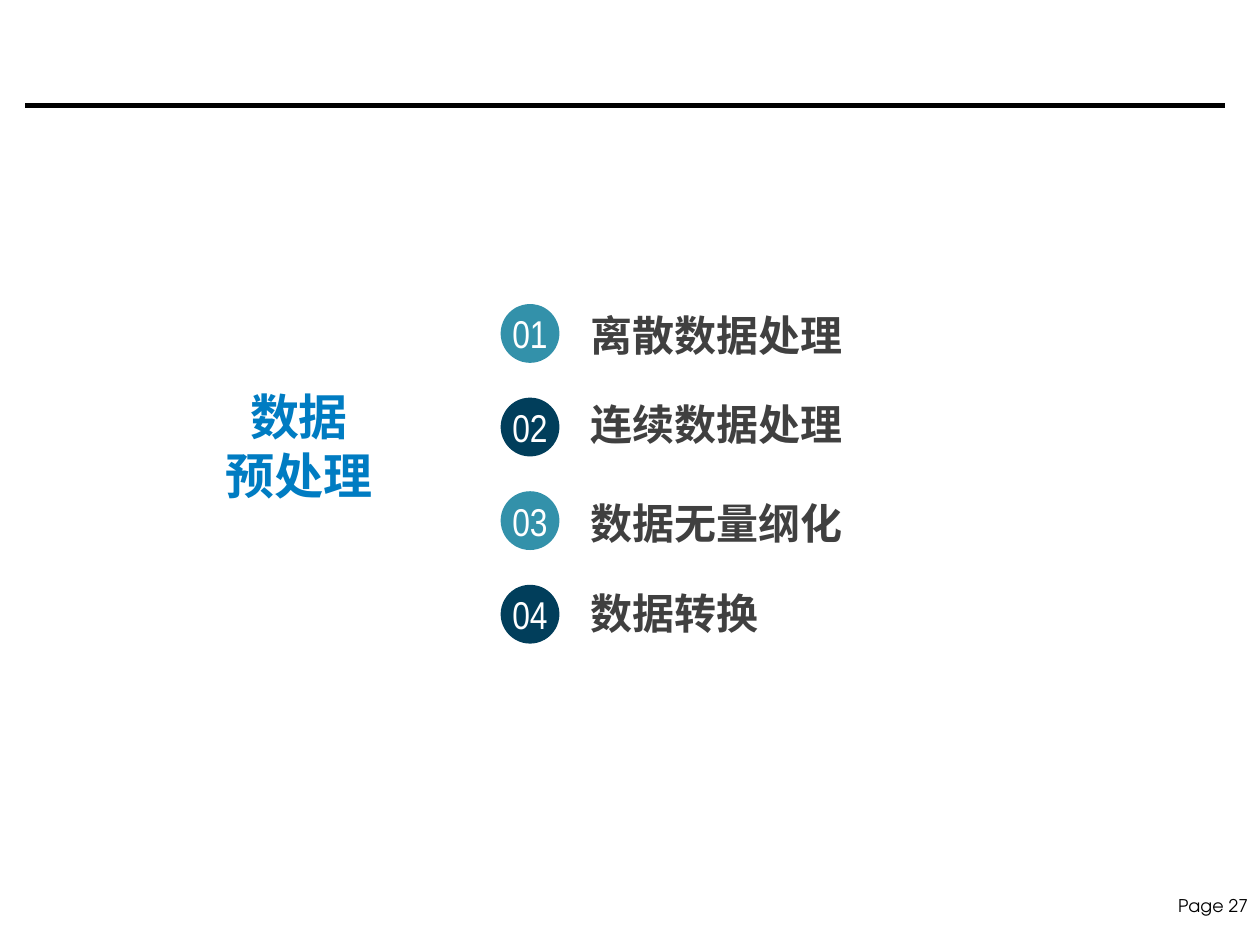
"""Build the section slide that lists the four data preprocessing topics."""
from lxml.etree import SubElement
from pptx import Presentation
from pptx.dml.color import RGBColor
from pptx.enum.shapes import MSO_CONNECTOR, MSO_SHAPE
from pptx.enum.text import MSO_ANCHOR, MSO_AUTO_SIZE, PP_ALIGN
from pptx.oxml.ns import qn
from pptx.util import Inches, Pt

COLUMNS = 750
ROWS = COLUMNS * 3 / 4
CELL = Inches(0.01)
CJK, NUMERALS, FOOTER = "Noto Sans CJK SC", "Arial Narrow", "TeX Gyre Adventor"
TOPICS = [("离散数据处理", 199), ("连续数据处理", 252),
          ("数据无量纲化", 311), ("数据转换", 365)]
BADGE_FILLS = ["3391AA", "013E5B"]
BADGE_TOP, BADGE_PITCH, BADGE_SIZE = 181, 55.7, 35


def grid(*cells):
    """Turn grid cells into slide lengths."""
    return [round(cell * CELL) for cell in cells]


def color(value):
    """Turn a hex string into a colour."""
    return RGBColor.from_string(value)


def write(holder, text, size, face, ink, bold=False, align=PP_ALIGN.LEFT,
          anchor=MSO_ANCHOR.TOP, insets=(0, 0, 0, 0), leading=None):
    """Put formatted text into a shape, one paragraph per line."""
    frame = holder.text_frame
    frame.text = text
    frame.word_wrap = True
    frame.auto_size = MSO_AUTO_SIZE.NONE
    frame.vertical_anchor = anchor
    (frame.margin_left, frame.margin_top,
     frame.margin_right, frame.margin_bottom) = grid(*insets)
    for paragraph in frame.paragraphs:
        paragraph.alignment = align
        if leading:
            paragraph.line_spacing = Pt(leading)
        for run in paragraph.runs:
            font = run.font
            font.name, font.size, font.bold = face, Pt(size), bold
            font.color.rgb = color(ink)
            SubElement(font._element, qn("a:ea")).set("typeface", face)


def add_rule(slide, left, right, top):
    """Draw the black rule across the head of the slide."""
    rule = slide.shapes.add_connector(
        MSO_CONNECTOR.STRAIGHT, *grid(left, top, right, top))
    rule.line.color.rgb = color("000000")
    rule.line.width = Pt(2)
    SubElement(rule._element.spPr, qn("a:effectLst"))


def add_heading(slide):
    """Place the section name in the title placeholder."""
    heading = slide.shapes.title
    heading.left, heading.top, heading.width, heading.height = grid(111, 225, 134, 34)
    write(heading, "数据\n预处理", size=21, face=CJK, ink="007CC2", bold=True,
          align=PP_ALIGN.CENTER, insets=(10, 5, 10, 5), leading=25.3)


def add_topic(slide, index, topic, top):
    """Add one topic label and its numbered badge."""
    label = slide.shapes.add_textbox(*grid(322, top, 244, 15))
    write(label, topic, size=18, face=CJK, ink="404040", bold=True,
          anchor=MSO_ANCHOR.BOTTOM, insets=(29.5, 0, 0, 0))
    badge = slide.shapes.add_shape(MSO_SHAPE.OVAL, *grid(
        298, BADGE_TOP + BADGE_PITCH * index, BADGE_SIZE, BADGE_SIZE))
    badge.shadow.inherit = False
    badge.fill.solid()
    badge.fill.fore_color.rgb = color(BADGE_FILLS[index % len(BADGE_FILLS)])
    badge.line.fill.background()
    write(badge, f"{index + 1:02d}", size=16.6, face=NUMERALS, ink="FFFFFF",
          align=PP_ALIGN.CENTER, anchor=MSO_ANCHOR.MIDDLE)


def add_page_number(slide):
    """Add the page number in the lower right corner."""
    number = slide.shapes.add_textbox(*grid(686, 529, 64, 20))
    write(number, "Page 27", size=7.5, face=FOOTER, ink="000000",
          align=PP_ALIGN.RIGHT, insets=(7, 4, 7, 4))


def main():
    """Build and save the slide."""
    deck = Presentation()
    deck.slide_width, deck.slide_height = grid(COLUMNS, ROWS)
    slide = deck.slides.add_slide(deck.slide_layouts[5])
    add_page_number(slide)
    add_rule(slide, left=15, right=729, top=63)
    add_heading(slide)
    for index, (topic, top) in enumerate(TOPICS):
        add_topic(slide, index, topic, top)
    deck.save("out.pptx")


if __name__ == "__main__":
    main()
